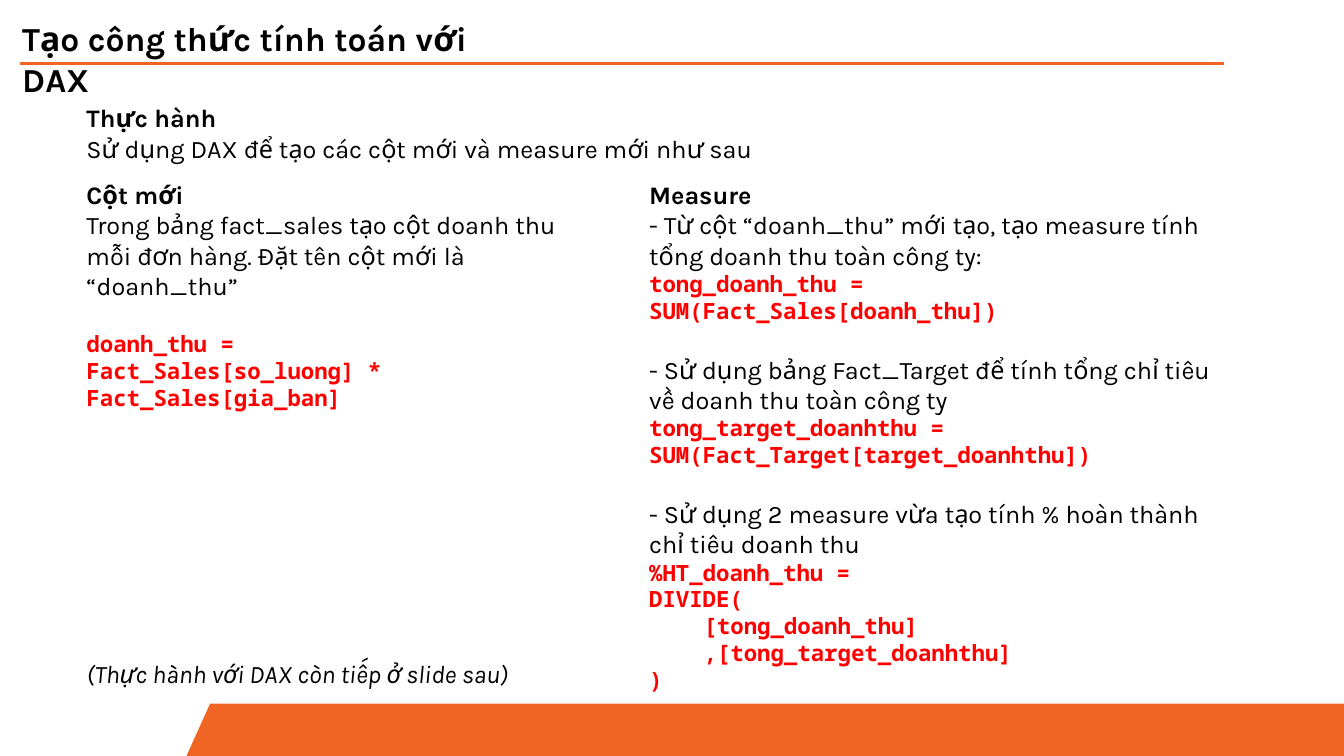
from pptx import Presentation
from pptx.dml.color import RGBColor
from pptx.enum import shapes, text
from pptx.util import Inches, Pt
from lxml import etree

COLORS = {"orange": "F06524", "black": "000000", "red": "FF0000"}
STYLES = {
    "title": ("Karla", 24, "black", True, False),
    "heading": ("Karla", 18, "black", True, False),
    "body": ("Karla", 18, "black", False, False),
    "note": ("Karla", 18, "black", False, True),
    "code": ("Noto Sans Mono", 16, "red", True, False),
}
BLANK_LINE = Pt(21.5)
CODE_INDENT = Inches(0.54)


def write(para, style, wording):
    para.text = wording
    para.alignment = text.PP_ALIGN.LEFT
    font = para.runs[0].font
    font.name, size, color, font.bold, font.italic = STYLES[style]
    font.size = Pt(size)
    font.color.rgb = RGBColor.from_string(COLORS[color])


deck = Presentation()
deck.slide_width, deck.slide_height = Inches(13.33), Inches(7.5)
page = deck.slides.add_slide(deck.slide_layouts[5])

rule = page.shapes.add_connector(
    shapes.MSO_CONNECTOR.STRAIGHT, Inches(0.2), Inches(0.63), Inches(12.14), Inches(0.63)
)
rule.line.color.rgb = RGBColor.from_string(COLORS["orange"])
rule.line.width = Pt(2.25)
namespace = "{http://schemas.openxmlformats.org/drawingml/2006/main}"
etree.SubElement(rule._element.spPr, namespace + "effectLst")

title = page.shapes.title
title.left, title.top = Inches(0.12), Inches(0.13)
title.width, title.height = Inches(4.71), Inches(0.5)
title.text_frame.word_wrap = True
title.text_frame.auto_size = text.MSO_AUTO_SIZE.NONE
title.text_frame.vertical_anchor = text.MSO_ANCHOR.TOP
write(title.text_frame.paragraphs[0], "title", "Tạo công thức tính toán với DAX")

blocks = [
    ((0.76, 0.97, 11.36, 0.71), [
        ("heading", "Thực hành"),
        ("body", "Sử dụng DAX để tạo các cột mới và measure mới như sau"),
    ]),
    ((0.76, 1.73, 5.17, 2.42), [
        ("heading", "Cột mới"),
        ("body", "Trong bảng fact_sales tạo cột doanh thu mỗi đơn hàng. Đặt tên cột mới là “doanh_thu”"),
        ("code", "doanh_thu =", "gap"),
        ("code", "Fact_Sales[so_luong] * Fact_Sales[gia_ban]"),
    ]),
    ((6.34, 1.73, 5.9, 5.25), [
        ("heading", "Measure"),
        ("body", "- Từ cột “doanh_thu” mới tạo, tạo measure tính tổng doanh thu toàn công ty:"),
        ("code", "tong_doanh_thu ="),
        ("code", "SUM(Fact_Sales[doanh_thu])"),
        ("body", "- Sử dụng bảng Fact_Target để tính tổng chỉ tiêu về doanh thu toàn công ty", "gap"),
        ("code", "tong_target_doanhthu ="),
        ("code", "SUM(Fact_Target[target_doanhthu])"),
        ("body", "- Sử dụng 2 measure vừa tạo tính % hoàn thành chỉ tiêu doanh thu", "gap"),
        ("code", "%HT_doanh_thu ="),
        ("code", "DIVIDE("),
        ("code", "[tong_doanh_thu]", "indent"),
        ("code", ",[tong_target_doanhthu]", "indent"),
        ("code", ")"),
    ]),
    ((0.76, 6.48, 4.51, 0.4), [("note", "(Thực hành với DAX còn tiếp ở slide sau)")]),
]

for place, lines in blocks:
    box = page.shapes.add_textbox(*map(Inches, place))
    frame = box.text_frame
    frame.word_wrap = True
    for index, (style, wording, *layout) in enumerate(lines):
        para = frame.add_paragraph() if index else frame.paragraphs[0]
        write(para, style, wording)
        if "gap" in layout:
            para.space_before = BLANK_LINE
        if "indent" in layout:
            para._p.get_or_add_pPr().set("marL", str(CODE_INDENT))

footer = page.shapes.add_shape(
    shapes.MSO_SHAPE.TRAPEZOID, Inches(1.85), Inches(6.98), Inches(11.94), Inches(0.52)
)
footer.adjustments[0] = 0.45
footer.shadow.inherit = False
footer.fill.solid()
footer.fill.fore_color.rgb = RGBColor.from_string(COLORS["orange"])
footer.line.fill.background()

deck.save("out.pptx")
